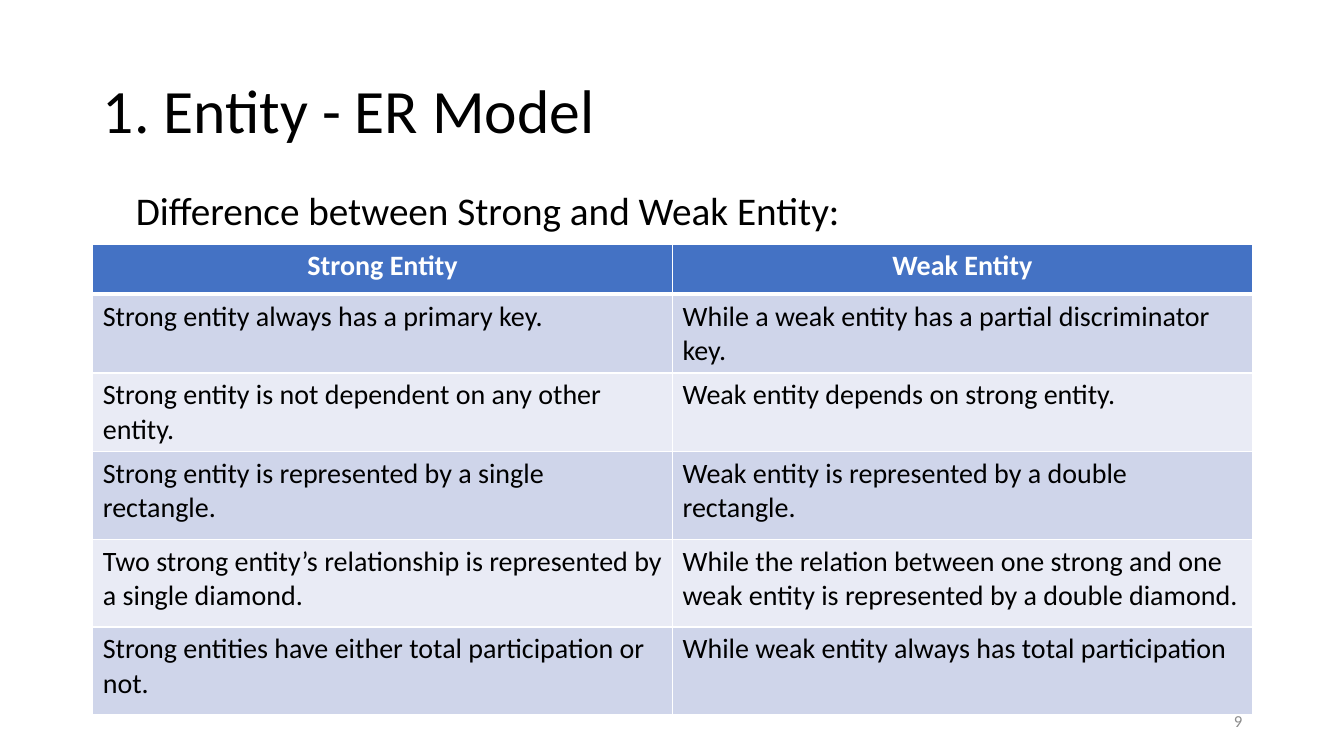
from lxml import etree
from pptx import Presentation
from pptx.dml.color import RGBColor
from pptx.enum.text import MSO_ANCHOR, PP_ALIGN
from pptx.oxml.ns import qn
from pptx.util import Inches, Pt

LEFT, CENTER, RIGHT = PP_ALIGN.LEFT, PP_ALIGN.CENTER, PP_ALIGN.RIGHT
TOP, MIDDLE = MSO_ANCHOR.TOP, MSO_ANCHOR.MIDDLE
FONT = "Calibri"
TITLE_ONLY = 5
BLACK, WHITE, GREY = "000000", "FFFFFF", "8C8C8C"
HEADER_FILL, BAND_FILLS = "4472C4", ("E9EBF5", "CFD5EA")
ROW_HEIGHTS = [0.5] + [0.78] * 2 + [0.87] * 3
ENTITY_ROWS = [
    ("Strong Entity", "Weak Entity"),
    ("Strong entity always has a primary key.",
     "While a weak entity has a partial discriminator key."),
    ("Strong entity is not dependent on any other entity.",
     "Weak entity depends on strong entity."),
    ("Strong entity is represented by a single rectangle.",
     "Weak entity is represented by a double rectangle."),
    ("Two strong entity’s relationship is represented by a single diamond.",
     "While the relation between one strong and one weak entity is "
     "represented by a double diamond."),
    ("Strong entities have either total participation or not.",
     "While weak entity always has total participation"),
]


def color(value):
    """Turn a hex string into a colour."""
    return RGBColor.from_string(value)


def write(frame, text, size, ink=BLACK, align=LEFT, bold=False):
    """Put one formatted paragraph into a text frame and return it."""
    frame.text = text
    frame.word_wrap = True
    para = frame.paragraphs[0]
    para.alignment = align
    for span in para.runs:
        span.font.name = FONT
        span.font.size = Pt(size)
        span.font.bold = bold
        span.font.color.rgb = color(ink)
    return para


def add_title(page, text, left, top, width, height):
    """Move and format the title placeholder."""
    title = page.shapes.title
    title.left, title.top = Inches(left), Inches(top)
    title.width, title.height = Inches(width), Inches(height)
    para = write(title.text_frame, text, 44)
    para.line_spacing = 0.9
    title.text_frame.vertical_anchor = MIDDLE


def add_label(page, text, left, top, width, height, size, ink=BLACK,
              align=LEFT, anchor=TOP):
    """Add a text box with one line of text."""
    box = page.shapes.add_textbox(Inches(left), Inches(top),
                                  Inches(width), Inches(height))
    write(box.text_frame, text, size, ink, align)
    box.text_frame.vertical_anchor = anchor


def set_borders(cell, bottom_width):
    """Draw white borders around a cell."""
    properties = cell._tc.get_or_add_tcPr()
    widths = {"a:lnL": 1, "a:lnR": 1, "a:lnT": 1, "a:lnB": bottom_width}
    for index, (tag, width) in enumerate(widths.items()):
        line = etree.Element(qn(tag), w=str(Pt(width)))
        fill = etree.SubElement(line, qn("a:solidFill"))
        etree.SubElement(fill, qn("a:srgbClr"), val=WHITE)
        properties.insert(index, line)


def add_entity_table(page, left, top, width):
    """Add the comparison table with a header and banded rows."""
    columns = len(ENTITY_ROWS[0])
    table = page.shapes.add_table(
        len(ENTITY_ROWS), columns, Inches(left), Inches(top),
        Inches(width), Inches(sum(ROW_HEIGHTS))).table
    for column in table.columns:
        column.width = Inches(width / columns)
    for row_index, texts in enumerate(ENTITY_ROWS):
        header = row_index == 0
        table.rows[row_index].height = Inches(ROW_HEIGHTS[row_index])
        for column_index, text in enumerate(texts):
            cell = table.cell(row_index, column_index)
            write(cell.text_frame, text, 20, WHITE if header else BLACK,
                  CENTER if header else LEFT, header)
            cell.fill.solid()
            cell.fill.fore_color.rgb = color(
                HEADER_FILL if header else BAND_FILLS[row_index % 2])
            set_borders(cell, 3 if header else 1)
            if row_index == 1:
                top_line = cell._tc.tcPr.find(qn("a:lnT"))
                top_line.set("w", str(Pt(3)))


def main():
    """Build and save the slide."""
    deck = Presentation()
    deck.slide_width, deck.slide_height = Inches(13.33), Inches(7.5)
    page = deck.slides.add_slide(deck.slide_layouts[TITLE_ONLY])
    add_title(page, "1. Entity - ER Model", 0.92, 0.4, 11.5, 1.45)
    add_entity_table(page, 0.92, 2.42, 11.5)
    add_label(page, "Difference between Strong and Weak Entity:",
              1.25, 1.8, 9.58, 0.57, 28)
    add_label(page, "9", 9.42, 6.95, 3, 0.4, 12, GREY, RIGHT, MIDDLE)
    deck.save("out.pptx")


if __name__ == "__main__":
    main()
